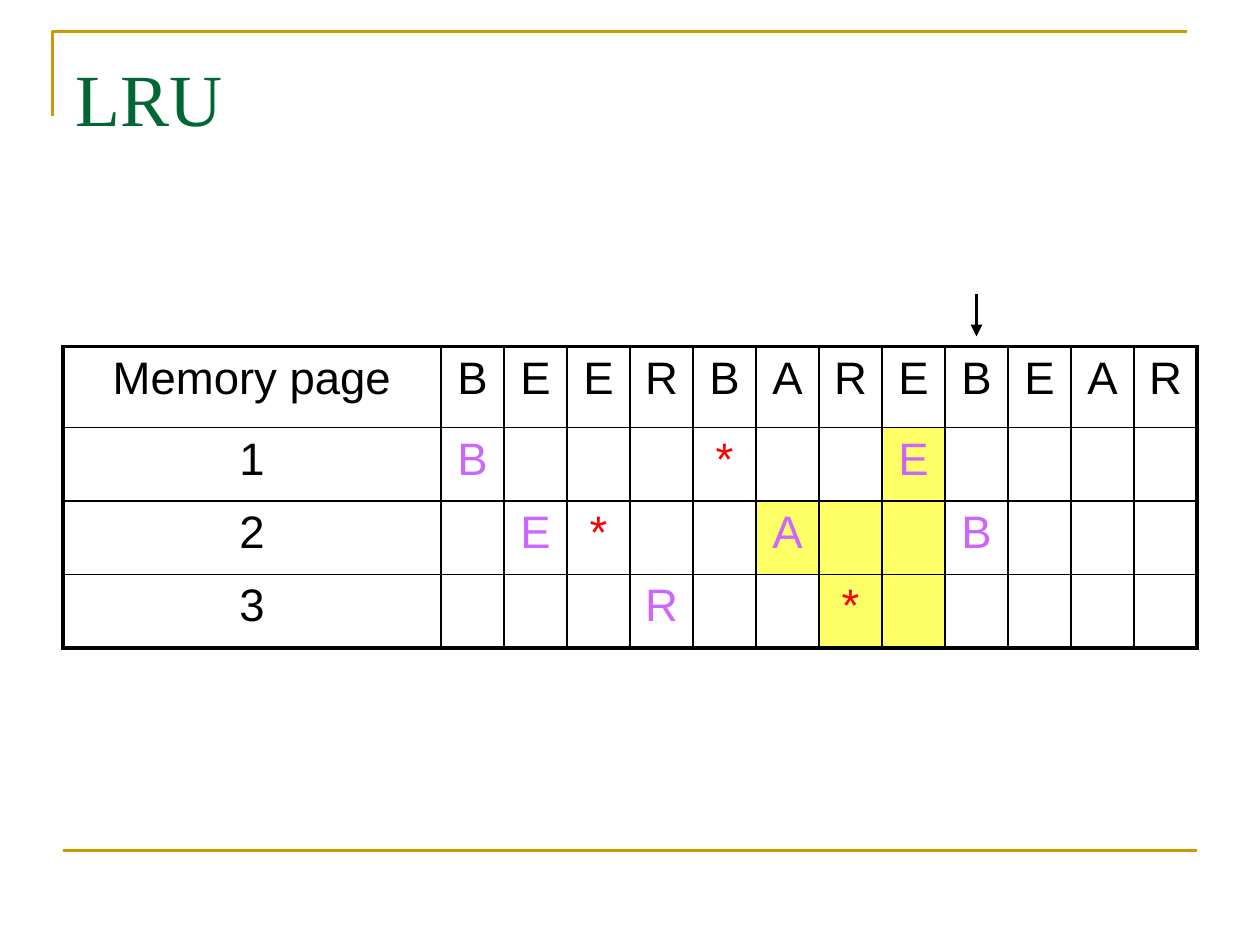
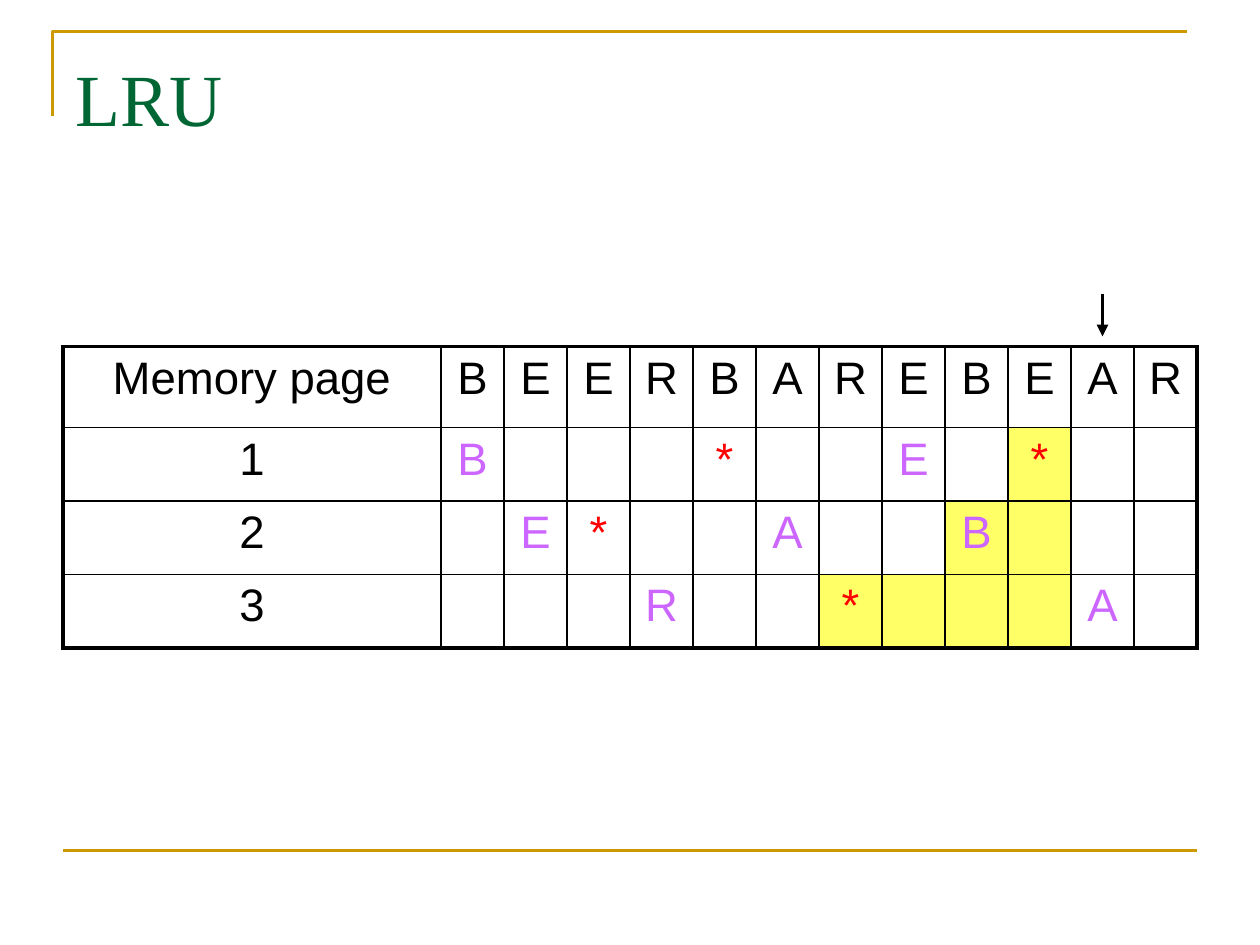
"""Build two slides that step through LRU page replacement on a letter sequence."""
from dataclasses import dataclass

from lxml import etree
from pptx import Presentation
from pptx.dml.color import RGBColor
from pptx.enum.shapes import MSO_CONNECTOR
from pptx.enum.text import MSO_ANCHOR, MSO_AUTO_SIZE, PP_ALIGN
from pptx.oxml.ns import qn
from pptx.util import Cm, Pt

STRAIGHT = MSO_CONNECTOR.STRAIGHT
TOP = MSO_ANCHOR.TOP
NO_FIT = MSO_AUTO_SIZE.NONE
LEFT, CENTER = PP_ALIGN.LEFT, PP_ALIGN.CENTER
TITLE_ONLY = 5


@dataclass(frozen=True)
class Theme:
    title_font: str = "Times New Roman"
    body_font: str = "Arial"
    title_size: float = 42
    cell_size: float = 26
    title: str = "006633"
    rule: str = "CC9900"
    ink: str = "000000"
    load: str = "CC66FF"
    hit: str = "FF0000"
    held: str = "FFFF66"
    paper: str = "FFFFFF"
    rule_width: float = 1.5
    thick: float = 2.25
    thin: float = 1


@dataclass(frozen=True)
class Line:
    x1: float
    y1: float
    x2: float
    y2: float
    color: str
    width: float
    arrow: bool = False


@dataclass(frozen=True)
class Grid:
    left: float = 1.27
    top: float = 6.99
    label_width: float = 7.62
    step_width: float = 1.27
    header_height: float = 1.63
    page_height: float = 1.48

    def step_center(self, step: int) -> float:
        return self.left + self.label_width + (step + 0.5) * self.step_width


THEME = Theme()
GRID = Grid()
FOOT_RULE = Line(1.27, 17.15, 24.13, 17.15, THEME.rule, THEME.rule_width)
REQUESTS = "BEERBAREBEAR"
HISTORY = ("B...*..E.*..", ".E*..A..B...", "...R..*...A.")
CURRENT_STEPS = (8, 10)


def apply(obj, formats: dict) -> None:
    for name, value in formats.items():
        setattr(obj, name, value)


def style_text(p, font: str, size: float, color: str, align) -> None:
    p.alignment = align
    apply(p.font, {"name": font, "size": Pt(size)})
    p.font.color.rgb = RGBColor.from_string(color)


def add_line(slide, line: Line) -> None:
    sp = slide.shapes.add_connector(
        STRAIGHT, Cm(line.x1), Cm(line.y1), Cm(line.x2), Cm(line.y2))
    sp.line.color.rgb = RGBColor.from_string(line.color)
    sp.line.width = Pt(line.width)
    spPr = sp.element.spPr
    if line.arrow:
        etree.SubElement(spPr.find(qn("a:ln")), qn("a:tailEnd"), type="triangle")
    etree.SubElement(spPr, qn("a:effectLst"))


def add_frame(slide) -> None:
    fb = slide.shapes.build_freeform(Cm(1.06), Cm(2.33))
    fb.add_line_segments([(Cm(1.06), Cm(0.64)), (Cm(23.92), Cm(0.64))], close=False)
    sp = fb.convert_to_shape()
    sp.fill.background()
    sp.line.color.rgb = RGBColor.from_string(THEME.rule)
    sp.line.width = Pt(THEME.rule_width)
    sp.shadow.inherit = False
    add_line(slide, FOOT_RULE)


def add_title(slide, text: str) -> None:
    sp = slide.shapes.title
    apply(sp, {"left": Cm(1.27), "top": Cm(0.76), "width": Cm(22.86), "height": Cm(3.18)})
    tf = sp.text_frame
    tf.text = text
    apply(tf, {"vertical_anchor": TOP, "auto_size": NO_FIT, "word_wrap": True,
               "margin_top": Cm(0.3)})
    style_text(tf.paragraphs[0], THEME.title_font, THEME.title_size, THEME.title, LEFT)


def set_borders(tc, widths: dict[str, float]) -> None:
    tcPr = tc.get_or_add_tcPr()
    for side, width in widths.items():
        ln = etree.SubElement(tcPr, qn(f"a:ln{side}"), w=str(Pt(width)))
        fill = etree.SubElement(ln, qn("a:solidFill"))
        etree.SubElement(fill, qn("a:srgbClr"), val=THEME.ink)


def held_steps(history: str, current: int) -> range:
    """Return the steps from a page's last use up to the current request."""
    last_use = max(i for i in range(current) if history[i] != ".")
    return range(last_use, current)


def add_page_table(slide, current: int) -> None:
    rows = [["Memory page", *REQUESTS]]
    for page, history in enumerate(HISTORY, 1):
        seen = history[:current + 1].ljust(len(REQUESTS), ".")
        rows.append([str(page), *seen.replace(".", " ")])
    last_row, last_col = len(rows) - 1, len(REQUESTS)
    width = GRID.label_width + last_col * GRID.step_width
    height = GRID.header_height + last_row * GRID.page_height
    frame = slide.shapes.add_table(last_row + 1, last_col + 1, Cm(GRID.left),
                                   Cm(GRID.top), Cm(width), Cm(height))
    table = frame.table
    apply(table, {"first_row": False, "horz_banding": False})
    for i, col in enumerate(table.columns):
        col.width = Cm(GRID.step_width if i else GRID.label_width)
    for i, row in enumerate(table.rows):
        row.height = Cm(GRID.page_height if i else GRID.header_height)

    tcs = frame.element.iter(qn("a:tc"))
    for i, (cell, tc) in enumerate(zip(table.iter_cells(), tcs)):
        r, c = divmod(i, last_col + 1)
        edges = {"L": c == 0, "R": c == last_col, "T": r == 0, "B": r == last_row}
        set_borders(tc, {side: THEME.thick if outer else THEME.thin
                         for side, outer in edges.items()})
        held = r > 0 and c - 1 in held_steps(HISTORY[r - 1], current)
        cell.fill.solid()
        cell.fill.fore_color.rgb = RGBColor.from_string(THEME.held if held else THEME.paper)
        text = rows[r][c].strip()
        color = THEME.ink
        if r and c:
            color = THEME.hit if text == "*" else THEME.load
        cell.text = text
        style_text(cell.text_frame.paragraphs[0], THEME.body_font, THEME.cell_size,
                   color, CENTER)


def add_step_slide(prs, current: int) -> None:
    slide = prs.slides.add_slide(prs.slide_layouts[TITLE_ONLY])
    add_frame(slide)
    add_title(slide, "LRU")
    add_page_table(slide, current)
    x = GRID.step_center(current)
    add_line(slide, Line(x, 5.92, x, 6.78, THEME.ink, THEME.thick, arrow=True))


def main() -> None:
    prs = Presentation()
    apply(prs, {"slide_width": Cm(25.4), "slide_height": Cm(19.05)})
    for current in CURRENT_STEPS:
        add_step_slide(prs, current)
    prs.save("out.pptx")


if __name__ == "__main__":
    main()
